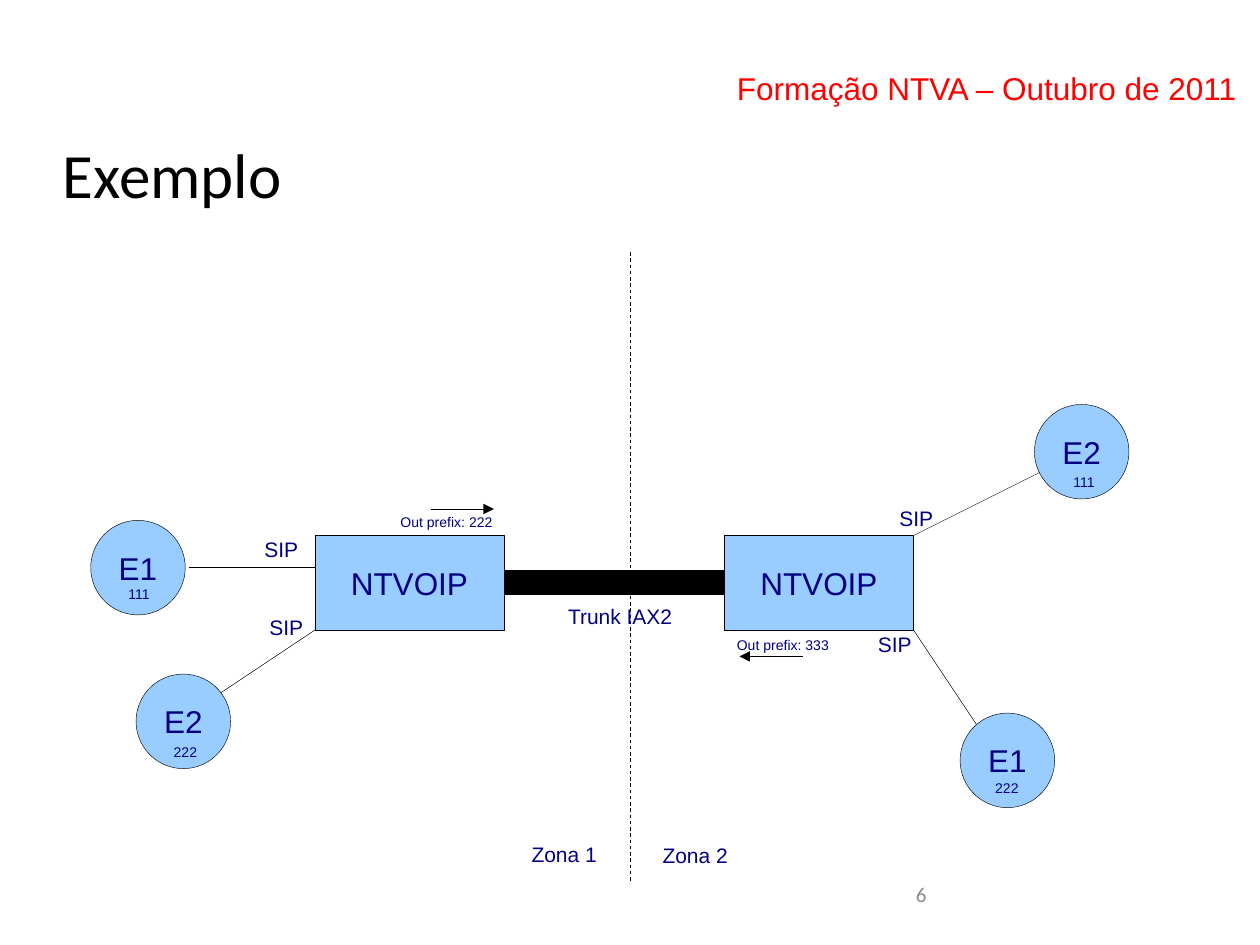
from pptx import Presentation
from pptx.dml.color import RGBColor
from pptx.enum.dml import MSO_LINE
from pptx.enum.shapes import MSO_CONNECTOR, MSO_SHAPE
from pptx.enum.text import MSO_ANCHOR, PP_ALIGN
from pptx.oxml.ns import qn
from pptx.util import Inches, Pt
from lxml import etree

COLORS = {"navy": "000080", "sky": "99CCFF", "black": "000000",
          "red": "FF0000", "gray": "8B8B8B"}
HAIRLINE = 0.25

prs = Presentation()
prs.slide_width, prs.slide_height = Inches(10), Inches(7.5)
s = prs.slides.add_slide(prs.slide_layouts[6])


def put_text(sp, text, size, color="navy", font="Arial", **frame):
    tf = sp.text_frame
    for name, value in frame.items():
        setattr(tf, name, value)
    p = tf.paragraphs[0]
    r = p.add_run()
    r.text = text
    for name, value in {"size": Pt(size), "name": font}.items():
        setattr(r.font, name, value)
    r.font.color.rgb = RGBColor.from_string(COLORS[color])
    return p


def add_line(x1, y1, x2, y2, width=HAIRLINE):
    c = s.shapes.add_connector(MSO_CONNECTOR.STRAIGHT, Inches(x1), Inches(y1),
                               Inches(x2), Inches(y2))
    c.line.color.rgb = RGBColor.from_string(COLORS["black"])
    c.line.width = Pt(width)
    etree.SubElement(c._element.spPr, qn("a:effectLst"))
    return c


# Header, title and page number
sp = s.shapes.add_textbox(Inches(5.75), Inches(0.5), Inches(4.25), Inches(0.38))
put_text(sp, "Formação NTVA – Outubro de 2011", 18, "red", word_wrap=True)
sp = s.shapes.add_textbox(Inches(0.5), Inches(0.75), Inches(9), Inches(1.25))
put_text(sp, "Exemplo", 36, "black", "Calibri", word_wrap=True,
         vertical_anchor=MSO_ANCHOR.MIDDLE, margin_left=0, margin_right=0,
         margin_top=0, margin_bottom=0)
sp = s.shapes.add_textbox(Inches(7.17), Inches(6.95), Inches(2.33), Inches(0.4))
put_text(sp, "6", 12, "gray", "Calibri", word_wrap=True)

# Zone divider
add_line(5, 2, 5, 7, 0.5).line.dash_style = MSO_LINE.DASH

# Servers and extensions
nodes = []
for text, kind, x, y, w in [
    ("NTVOIP", MSO_SHAPE.RECTANGLE, 2.5, 4.25, 1.5),
    ("NTVOIP", MSO_SHAPE.RECTANGLE, 5.75, 4.25, 1.5),
    ("E1", MSO_SHAPE.OVAL, 0.72, 4.13, 0.75),
    ("E2", MSO_SHAPE.OVAL, 1.08, 5.35, 0.75),
    ("E2", MSO_SHAPE.OVAL, 8.21, 3.21, 0.75),
    ("E1", MSO_SHAPE.OVAL, 7.62, 5.66, 0.75),
]:
    sp = s.shapes.add_shape(kind, Inches(x), Inches(y), Inches(w), Inches(0.75))
    sp.shadow.inherit = False
    sp.fill.solid()
    sp.fill.fore_color.rgb = RGBColor.from_string(COLORS["sky"])
    sp.line.color.rgb = RGBColor.from_string(COLORS["black"])
    sp.line.width = Pt(HAIRLINE)
    p = put_text(sp, text, 18, word_wrap=False, vertical_anchor=MSO_ANCHOR.MIDDLE)
    p.alignment = PP_ALIGN.CENTER
    nodes.append(sp)

# SIP links
for ends in [(2.5, 4.5, 1.5, 4.5), (1.75, 5.5, 2.5, 5),
             (7.25, 4.25, 8.25, 3.75), (7.25, 5, 7.75, 5.75)]:
    add_line(*ends)

# Trunk between the servers
trunk = add_line(4, 4.63, 5.75, 4.63, 14.4)
trunk.begin_connect(nodes[0], 3)
trunk.end_connect(nodes[1], 1)

# Outgoing prefix arrows
for x, y, end in [(3.42, 4.04, "a:tailEnd"), (5.87, 5.21, "a:headEnd")]:
    c = add_line(x, y, x + 0.5, y)
    etree.SubElement(c.line._get_or_add_ln(), qn(end), type="triangle")

# Labels
for text, size, x, y, w in [
    ("Trunk IAX2", 12, 4.41, 4.74, 1.25),
    ("Zona 1", 12, 4.12, 6.63, 0.72),
    ("Zona 2", 12, 5.16, 6.64, 0.72),
    ("SIP", 12, 2, 4.21, 0.5),
    ("SIP", 12, 2.04, 4.83, 0.5),
    ("SIP", 12, 6.87, 4.96, 0.5),
    ("SIP", 12, 7.04, 3.96, 0.5),
    ("111", 8, 0.92, 4.6, 0.62),
    ("222", 8, 1.28, 5.85, 0.62),
    ("111", 8, 8.42, 3.71, 0.62),
    ("222", 8, 7.8, 6.14, 0.62),
    ("Out prefix: 222", 8, 3.08, 4.03, 1),
    ("Out prefix: 333", 8, 5.75, 5, 1),
]:
    h = 0.29 if size == 12 else 0.22
    sp = s.shapes.add_textbox(Inches(x), Inches(y), Inches(w), Inches(h))
    put_text(sp, text, size, word_wrap=True)

prs.save("out.pptx")
